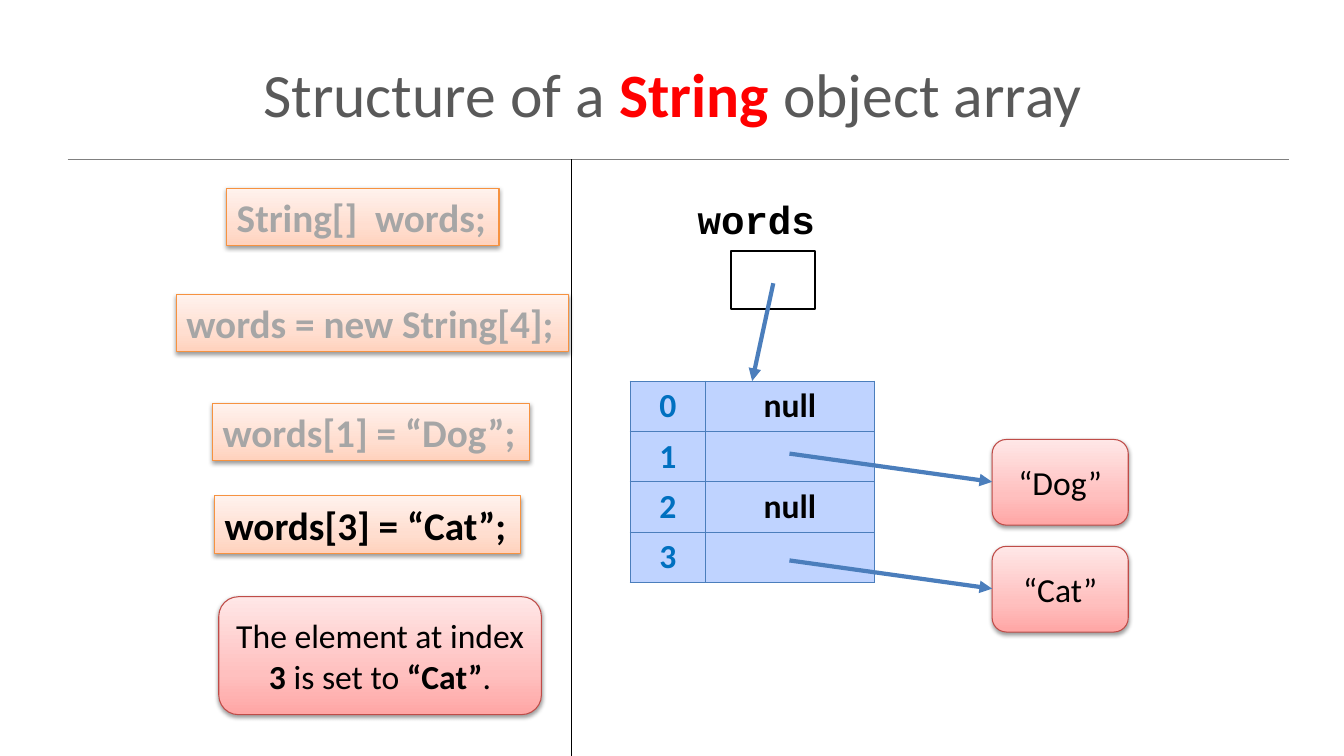
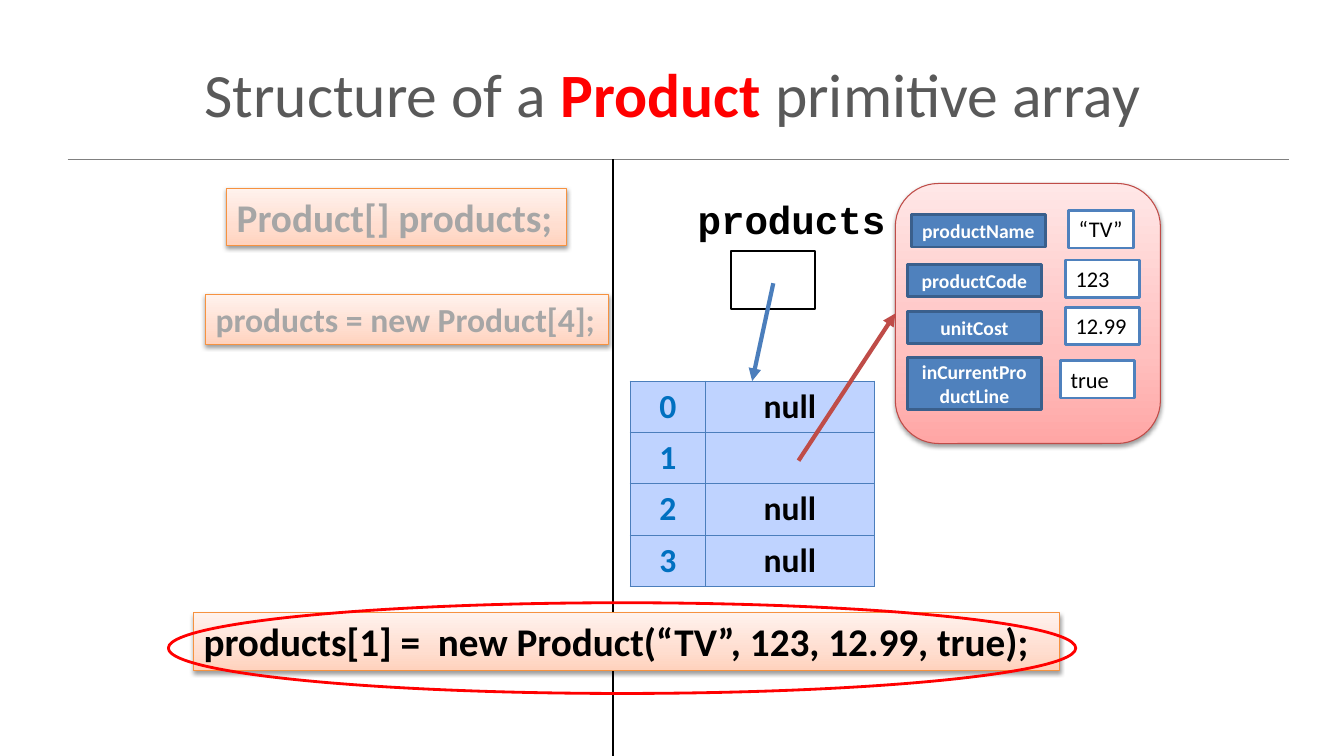
from copy import deepcopy
from dataclasses import dataclass

from lxml.etree import SubElement
from pptx import Presentation
from pptx.dml.color import RGBColor
from pptx.enum.shapes import MSO_CONNECTOR as Connector, MSO_SHAPE as Preset
from pptx.enum.text import MSO_ANCHOR as Anchor, MSO_AUTO_SIZE as AutoSize, PP_ALIGN as Align
from pptx.oxml.ns import qn
from pptx.util import Inches, Pt


@dataclass(frozen=True)
class Theme:
    """Colours, fonts and type sizes shared by the slides."""
    font: str = "Calibri"
    code_font: str = "Courier New"
    title: str = "595959"
    accent: str = "FF0000"
    rule: str = "808080"
    ink: str = "000000"
    faded: str = "A6A6A6"
    white: str = "FFFFFF"
    index: str = "0070C0"
    cell: str = "BFD3FF"
    arrow: str = "4B7EBC"
    field: str = "4F81BD"
    field_line: str = "3A5F8C"
    code_line: str = "F69240"
    object_line: str = "BF4C48"
    code_fill: tuple = ("FFD2BD", "FFDED0", "FFF2ED")
    object_fill: tuple = ("FFA6A5", "FFC0BF", "FFE7E7")
    title_size: int = 44
    code_size: int = 28
    body_size: int = 24
    value_size: int = 16
    field_size: int = 14


@dataclass(frozen=True)
class Box:
    """A rectangle in inches."""
    left: float
    top: float
    width: float
    height: float

    def inner(self, left, top, width, height):
        """Return a box placed relative to this one."""
        return Box(self.left + left, self.top + top, width, height)

    def point(self, left, top):
        """Return a point placed relative to this box."""
        return self.left + left, self.top + top

    def lengths(self):
        """Return the position and size as lengths."""
        return [Inches(value) for value in (self.left, self.top, self.width, self.height)]


THEME = Theme()
SLIDE = Box(0, 0, 13.33, 7.5)
TITLE = Box(0.67, 0.3, 12, 1.25)
RULE_TOP = 1.58
CODE = Box(1.67, RULE_TOP, 9, 5.92)
MEMORY = Box(6.25, RULE_TOP, 5.5, 4.7)


def write(frame, runs, size, align=Align.LEFT, font=THEME.font):
    """Write one paragraph of (text, colour, bold) runs."""
    paragraph = frame.paragraphs[0]
    paragraph.alignment = align
    for text, color, bold in runs:
        run = paragraph.add_run()
        run.text = text
        run.font.name = font
        run.font.size = Pt(size)
        run.font.bold = bold
        run.font.color.rgb = RGBColor.from_string(color)


def add_box(slide, box, line, width, fill=None, preset=Preset.RECTANGLE):
    """Add an outlined shape with an optional solid fill."""
    shape = slide.shapes.add_shape(preset, *box.lengths())
    shape.shadow.inherit = False
    shape.line.color.rgb = RGBColor.from_string(line)
    shape.line.width = Pt(width)
    if fill:
        shape.fill.solid()
        shape.fill.fore_color.rgb = RGBColor.from_string(fill)
    else:
        shape.fill.background()
    shape.text_frame.word_wrap = True
    return shape


def add_raised_box(slide, box, line, colors, preset):
    """Add a shape with a vertical gradient and a soft shadow."""
    shape = add_box(slide, box, line, 0.75, preset=preset)
    shape.fill.gradient()
    shape.fill.gradient_angle = 90
    properties = shape._element.spPr
    stops = next(properties.iter(qn("a:gsLst")))
    stops.insert(1, deepcopy(stops[0]))
    for stop, color, position in zip(shape.fill.gradient_stops, colors, (0, 0.35, 1)):
        stop.color.rgb = RGBColor.from_string(color)
        stop.position = position
    shadow = SubElement(properties.find(qn("a:effectLst")), qn("a:outerShdw"),
                        blurRad="40000", dist="20000", dir="5400000", rotWithShape="0")
    color = SubElement(shadow, qn("a:srgbClr"), val=THEME.ink)
    SubElement(color, qn("a:alpha"), val="38000")
    return shape


def add_line(slide, start, end, color, width, arrow=False):
    """Add a straight line, with an arrowhead at its end if asked."""
    lengths = [Inches(value) for value in (*start, *end)]
    connector = slide.shapes.add_connector(Connector.STRAIGHT, *lengths)
    connector.line.color.rgb = RGBColor.from_string(color)
    connector.line.width = Pt(width)
    properties = connector._element.spPr
    if arrow:
        SubElement(properties.find(qn("a:ln")), qn("a:tailEnd"), type="triangle")
    SubElement(properties, qn("a:effectLst"))


def add_code(slide, box, text, color=THEME.faded, size=THEME.code_size):
    """Add one statement in an orange box."""
    shape = add_raised_box(slide, box, THEME.code_line, THEME.code_fill, Preset.RECTANGLE)
    frame = shape.text_frame
    frame.word_wrap = False
    frame.auto_size = AutoSize.SHAPE_TO_FIT_TEXT
    frame.vertical_anchor = Anchor.TOP
    write(frame, [(text, color, True)], size)


def add_object(slide, box, runs=()):
    """Add a rounded red box with centred text."""
    shape = add_raised_box(slide, box, THEME.object_line, THEME.object_fill,
                           Preset.ROUNDED_RECTANGLE)
    shape.text_frame.vertical_anchor = Anchor.MIDDLE
    write(shape.text_frame, runs, THEME.body_size, Align.CENTER)


def add_titled_slide(presentation, type_name, ending, divider):
    """Add a slide with its title, rule and vertical divider."""
    slide = presentation.slides.add_slide(presentation.slide_layouts[5])
    title = slide.shapes.title
    title.left, title.top, title.width, title.height = TITLE.lengths()
    title.text_frame.auto_size = AutoSize.NONE
    title.text_frame.vertical_anchor = Anchor.MIDDLE
    runs = [("Structure of a ", THEME.title, False), (type_name + " ", THEME.accent, True),
            (ending, THEME.title, False)]
    write(title.text_frame, runs, THEME.title_size, Align.CENTER)
    add_line(slide, (0.67, RULE_TOP), (12.78, RULE_TOP), THEME.rule, 1)
    add_line(slide, (divider, RULE_TOP), (divider, SLIDE.height), THEME.ink, 1)
    return slide


def outline_cell(cell):
    """Give a cell its four borders."""
    properties = cell._tc.get_or_add_tcPr()
    for index, side in enumerate(("lnL", "lnR", "lnT", "lnB")):
        border = properties.makeelement(qn(f"a:{side}"), {"w": str(Pt(0.75))})
        fill = SubElement(border, qn("a:solidFill"))
        SubElement(fill, qn("a:srgbClr"), val=THEME.arrow)
        properties.insert(index, border)


def add_elements(slide, box, values):
    """Add the table of indexes and element values."""
    table = slide.shapes.add_table(len(values), 2, *box.lengths()).table
    table.first_row = table.horz_banding = False
    table.columns[0].width, table.columns[1].width = Inches(0.75), Inches(1.67)
    for index, value in enumerate(values):
        for column, (text, color) in enumerate(((str(index), THEME.index), (value, THEME.ink))):
            cell = table.cell(index, column)
            cell.fill.solid()
            cell.fill.fore_color.rgb = RGBColor.from_string(THEME.cell)
            cell.margin_top = cell.margin_bottom = Inches(0.04)
            cell.vertical_anchor = Anchor.MIDDLE
            outline_cell(cell)
            if text:
                write(cell.text_frame, [(text, color, True)], THEME.body_size, Align.CENTER)


def add_memory(slide, box, name, values, row_height):
    """Add the variable, its reference arrow and the array."""
    label = slide.shapes.add_textbox(*box.inner(0.57, 0.31, 2.08, 0.57).lengths())
    label.text_frame.word_wrap = True
    write(label.text_frame, [(name, THEME.ink, True)], THEME.code_size, font=THEME.code_font)
    add_box(slide, box.inner(1, 0.91, 0.83, 0.58), THEME.ink, 1.5)
    add_elements(slide, box.inner(0, 2.2, 2.42, row_height * len(values)), values)
    add_line(slide, box.point(1.42, 1.23), box.point(1.21, 2.2), THEME.arrow, 3, True)


def add_string_objects(slide, box, texts):
    """Add the string objects with arrows from their elements."""
    for row, text in enumerate(texts):
        offset = row * 1.06
        add_object(slide, box.inner(3.59, 2.78 + offset, 1.35, 0.85), [(text, THEME.ink, False)])
        add_line(slide, box.point(1.58, 2.92 + offset), box.point(3.59, 3.2 + offset),
                 THEME.arrow, 3, True)


def add_product(slide, box):
    """Add the product object with its fields and values."""
    add_object(slide, box)
    fields = [
        ("productName", (0.16, 0.31, 1.33, 0.32), "“TV”", (1.72, 0.27, 0.64, 0.37)),
        ("productCode", (0.12, 0.8, 1.33, 0.32), "123", (1.69, 0.76, 0.73, 0.37)),
        ("unitCost", (0.12, 1.27, 1.33, 0.32), "12.99", (1.69, 1.23, 0.73, 0.37)),
        ("inCurrentProductLine", (0.12, 1.73, 1.33, 0.51), "true", (1.64, 1.76, 0.73, 0.37)),
    ]
    for name, name_place, value, value_place in fields:
        field = add_box(slide, box.inner(*name_place), THEME.field_line, 2, THEME.field)
        field.text_frame.vertical_anchor = Anchor.MIDDLE
        write(field.text_frame, [(name, THEME.white, True)], THEME.field_size, Align.CENTER)
        content = add_box(slide, box.inner(*value_place), THEME.field, 2, THEME.white)
        content.text_frame.vertical_anchor = Anchor.TOP
        write(content.text_frame, [(value, THEME.ink, False)], THEME.value_size)


def build_string_slide(presentation):
    """Build the slide on the string array."""
    slide = add_titled_slide(presentation, "String", "object array", 5.67)
    add_code(slide, CODE.inner(0.58, 0.29, 2.7, 0.57), "String[]  words;")
    add_code(slide, CODE.inner(0.08, 1.34, 3.89, 0.57), "words = new String[4];")
    add_code(slide, CODE.inner(0.44, 2.42, 3.14, 0.57), "words[1] = “Dog”;")
    add_code(slide, CODE.inner(0.46, 3.34, 3.03, 0.57), "words[3] = “Cat”;", THEME.ink)
    parts = [("The element at index ", False), ("3 ", True), ("is set to ", False),
             ("“Cat”", True), (".", False)]
    add_object(slide, CODE.inner(0.5, 4.34, 3.2, 1.17),
               [(text, THEME.ink, bold) for text, bold in parts])
    add_memory(slide, MEMORY, "words", ["null", "", "null", ""], 0.5)
    add_string_objects(slide, MEMORY, ["“Dog”", "“Cat”"])


def build_product_slide(presentation):
    """Build the slide on the product array."""
    slide = add_titled_slide(presentation, "Product", "primitive array", 6.08)
    add_code(slide, CODE.inner(0.58, 0.29, 3.37, 0.57), "Product[] products;")
    add_code(slide, CODE.inner(0.37, 1.34, 4, 0.5), "products = new Product[4];",
             size=THEME.body_size)
    add_memory(slide, MEMORY, "products", ["null", "", "null", "null"], 0.51)
    add_product(slide, MEMORY.inner(2.63, 0.24, 2.63, 2.58))
    add_line(slide, MEMORY.point(1.67, 2.99), MEMORY.point(2.63, 1.53),
             THEME.object_line, 3, True)
    add_code(slide, CODE.inner(0.25, 4.5, 8.59, 0.57),
             "products[1] =  new Product(“TV”, 123, 12.99, true);", THEME.ink)
    add_box(slide, CODE.inner(0, 4.4, 9, 0.9), THEME.accent, 2, preset=Preset.OVAL)


def main():
    """Build and save the presentation."""
    presentation = Presentation()
    presentation.slide_width = Inches(SLIDE.width)
    presentation.slide_height = Inches(SLIDE.height)
    build_string_slide(presentation)
    build_product_slide(presentation)
    presentation.save("out.pptx")


if __name__ == "__main__":
    main()
